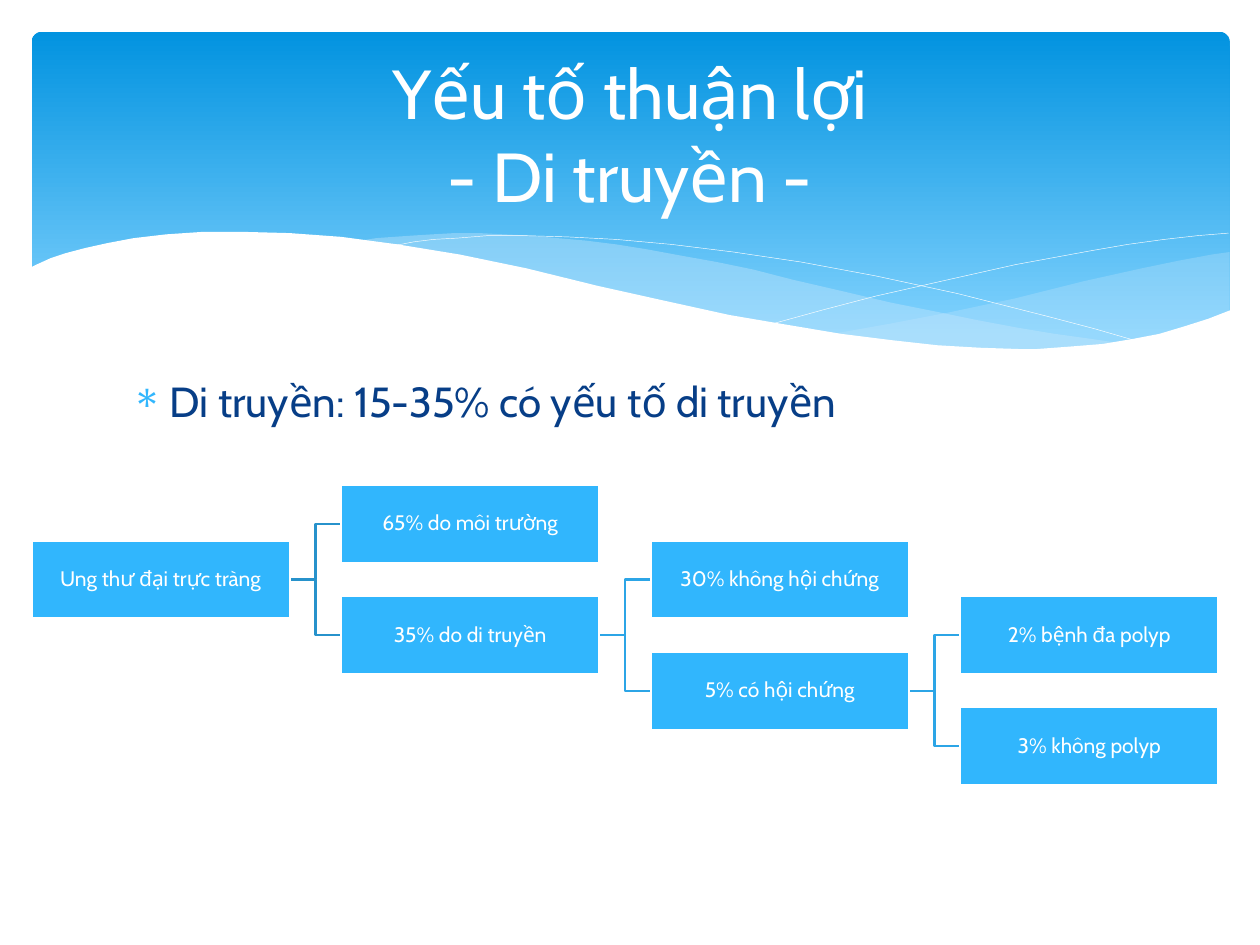
"""Build the slide on genetic risk factors with a wave banner and a tree of causes."""
from lxml import etree
from pptx import Presentation
from pptx.dml.color import RGBColor
from pptx.enum.shapes import MSO_CONNECTOR, MSO_SHAPE
from pptx.enum.text import MSO_ANCHOR, PP_ALIGN
from pptx.oxml.ns import qn
from pptx.util import Cm, Pt

ELBOW = MSO_CONNECTOR.ELBOW
RECT, ROUND = MSO_SHAPE.RECTANGLE, MSO_SHAPE.ROUNDED_RECTANGLE
MIDDLE, TOP = MSO_ANCHOR.MIDDLE, MSO_ANCHOR.TOP
CENTER, LEFT = PP_ALIGN.CENTER, PP_ALIGN.LEFT

theme = {
    "font": "Cabin",
    "title": 39.6, "body": 24, "label": 12,
    "white": "FFFFFF", "navy": "073E87", "box": "31B6FD",
    "deep": "0293E0", "light": "83D3FE", "wave": "C6E7FC",
    "stem": "2792CB", "twig": "2CA5E6",
}


def color(name):
    return RGBColor.from_string(theme[name])


def write(frame, lines, size, tint, align, anchor):
    frame.word_wrap = True
    frame.vertical_anchor = anchor
    para = frame.paragraphs[0]
    para.alignment = align
    for i, line in enumerate(lines):
        if i:
            para.add_line_break()
        run = para.add_run()
        run.text = line
        run.font.name = theme["font"]
        run.font.size = Pt(theme[size])
        run.font.color.rgb = color(tint)
    return para


deck = Presentation()
deck.slide_width, deck.slide_height = Cm(25.4), Cm(19.05)
slide = deck.slides.add_slide(deck.slide_layouts[6])
shapes = slide.shapes

banner = shapes.add_shape(ROUND, Cm(0.64), Cm(0.64), Cm(24.15), Cm(6.86))
banner.adjustments[0] = 0.03
banner.shadow.inherit = False
banner.line.fill.background()
banner.fill.gradient()
banner.fill.gradient_angle = 270
for stop, name, spot in zip(banner.fill.gradient_stops, ("deep", "light"), (0, 0.9)):
    stop.color.rgb = color(name)
    stop.position = spot

right = [
    (976, 200), (962, 202), (935, 207), (906, 213), (861, 223), (805, 237),
    (753, 248), (706, 257), (661, 265), (691, 269), (719, 272), (745, 275),
    (769, 277), (803, 278), (824, 277), (844, 277), (863, 275), (881, 273),
    (897, 270), (913, 267), (928, 263), (942, 259), (963, 252), (976, 247),
]
middle = [
    (893, 273), (866, 269), (837, 265), (807, 260), (775, 254), (741, 247),
    (706, 240), (668, 231), (629, 222), (598, 214), (569, 208), (541, 203),
    (514, 198), (489, 194), (465, 191), (442, 189), (420, 187), (399, 186),
    (380, 185), (361, 185), (344, 186), (328, 187), (313, 188), (299, 189),
    (286, 191), (323, 196), (362, 203), (404, 211), (449, 222), (491, 232),
    (530, 240), (566, 248), (601, 255), (634, 261), (665, 266), (695, 270),
    (722, 274), (748, 276), (773, 277), (796, 278), (838, 278), (867, 276),
]
fall = [
    (309, 195), (318, 194), (328, 192), (344, 190), (363, 189), (387, 187),
    (416, 187), (450, 188), (489, 190), (533, 194), (582, 200), (636, 208),
    (695, 219), (760, 233), (831, 251), (869, 261), (907, 272),
]
rise = [
    (613, 257), (653, 246), (695, 235), (748, 223), (806, 210), (866, 199),
    (895, 194), (924, 190), (951, 187), (975, 185),
]
floor = [
    (977, 246), (959, 253), (940, 259), (920, 265), (899, 269), (875, 273),
    (850, 275), (823, 277), (809, 277), (778, 276), (744, 274), (708, 270),
    (668, 265), (626, 258), (579, 250), (529, 239), (475, 227), (418, 213),
    (365, 202), (316, 194), (271, 188), (230, 185), (193, 184), (161, 184),
    (132, 186), (106, 189), (85, 193), (67, 197), (52, 201), (40, 205),
    (29, 210), (23, 213), (23, 329), (977, 329),
]
waves = [
    (right, "wave", 29), (middle, "wave", 40),
    (fall, None, 0), (rise, None, 0), (floor, "white", 100),
]
for points, tint, alpha in waves:
    pen = shapes.build_freeform(*points[0], scale=Cm(2.54) / 100)
    pen.add_line_segments(points[1:], close=tint is not None)
    wave = pen.convert_to_shape()
    wave.shadow.inherit = False
    if tint:
        wave.line.fill.background()
        wave.fill.solid()
        wave.fill.fore_color.rgb = color(tint)
        tone = wave.fill._xPr.find(qn("a:solidFill"))[0]
        etree.SubElement(tone, qn("a:alpha"), val=str(alpha * 1000))
    else:
        wave.fill.background()
        wave.line.color.rgb = color("white")
        wave.line.width = Pt(0.25)

body = shapes.add_textbox(Cm(2.41), Cm(7.44), Cm(20.57), Cm(9.58))
para = write(body.text_frame, ["Di truyền: 15-35% có yếu tố di truyền"], "body", "navy", LEFT, TOP)
props = para._p.get_or_add_pPr()
props.set("marL", str(Cm(0.76)))
props.set("indent", str(-Cm(0.76)))
tone = etree.SubElement(props, qn("a:buClr"))
etree.SubElement(tone, qn("a:srgbClr"), val=theme["box"])
etree.SubElement(props, qn("a:buChar"), char="∗")

title = shapes.add_textbox(Cm(1.27), Cm(0.94), Cm(22.86), Cm(3.48))
write(title.text_frame, ["Yếu tố thuận lợi", "- Di truyền -"], "title", "white", CENTER, MIDDLE)

left, top = Cm(0.64), Cm(9.78)
wide, high = Cm(5.2), Cm(1.57)
step, drop = Cm(6.24), Cm(1.12)
nodes = [
    (0, 1, "Ung thư đại trực tràng"),
    (1, 0, "65% do môi trường"),
    (1, 2, "35% do di truyền"),
    (2, 1, "30% không hội chứng"),
    (2, 3, "5% có hội chứng"),
    (3, 2, "2% bệnh đa polyp"),
    (3, 4, "3% không polyp"),
]

for col in range(3):
    start = left + col * step + wide
    mid = top + (col + 1) * drop + high // 2
    for side in (1, -1):
        link = shapes.add_connector(ELBOW, start, mid, left + (col + 1) * step, mid + side * drop)
        link.line.color.rgb = color("twig" if col else "stem")
        link.line.width = Pt(1.25)
        etree.SubElement(link._element.spPr, qn("a:effectLst"))

for col, row, text in nodes:
    box = shapes.add_shape(RECT, left + col * step, top + row * drop, wide, high)
    box.shadow.inherit = False
    box.fill.solid()
    box.fill.fore_color.rgb = color("box")
    box.line.color.rgb = color("white")
    box.line.width = Pt(1.25)
    frame = box.text_frame
    frame.margin_left = frame.margin_right = Cm(0.02)
    frame.margin_top = frame.margin_bottom = Cm(0.02)
    write(frame, [text], "label", "white", CENTER, MIDDLE).line_spacing = 0.9

deck.save("out.pptx")
